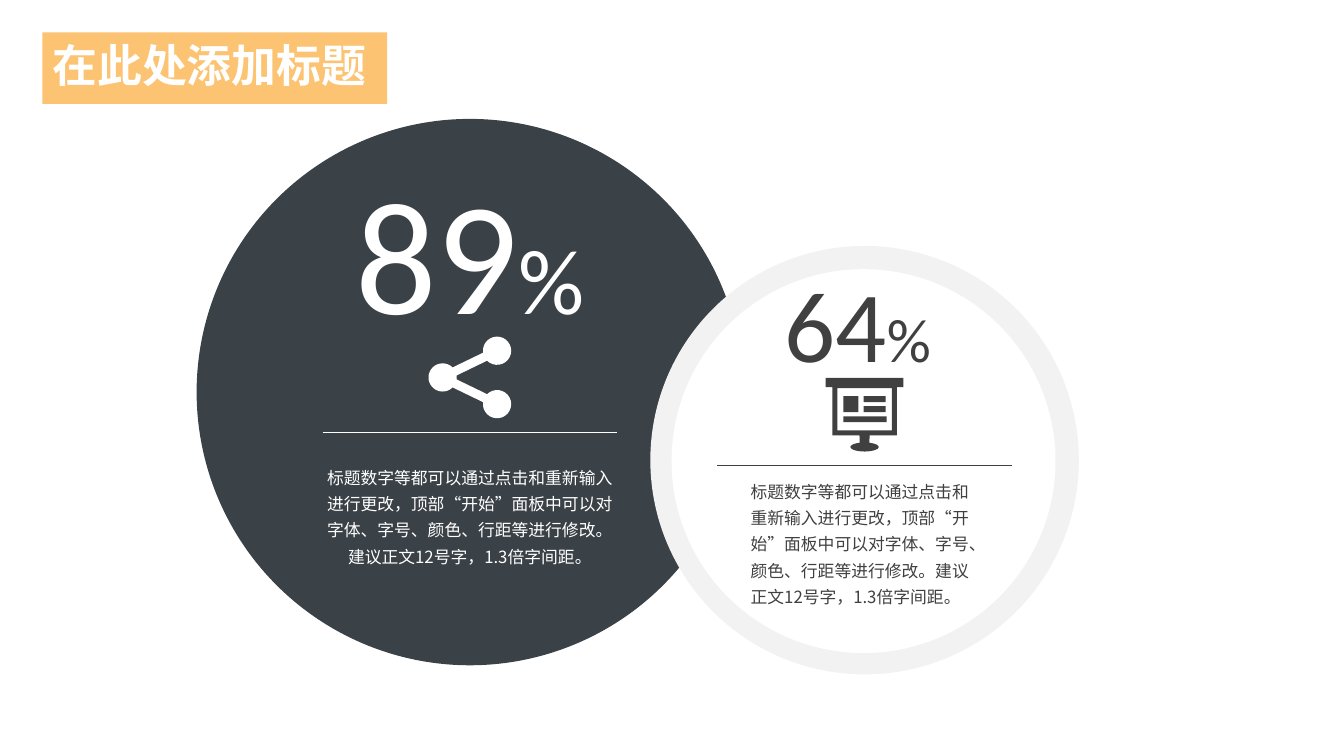
from math import cos, radians, sin

from lxml.etree import SubElement
from pptx import Presentation
from pptx.dml.color import RGBColor
from pptx.enum.shapes import MSO_CONNECTOR, MSO_SHAPE
from pptx.enum.text import MSO_ANCHOR, MSO_AUTO_SIZE, PP_ALIGN
from pptx.oxml.ns import qn
from pptx.util import Inches, Pt

COLORS = {"title": "FBC372", "slate": "3A4147", "ring": "F2F2F2",
          "white": "FFFFFF", "ink": "404040"}
HEAD_FONT, BODY_FONT = "Calibri", "Noto Sans CJK SC"
BODY = ("标题数字等都可以通过点击和重新输入进行更改，顶部“开始”面板中可以对字体、"
        "字号、颜色、行距等进行修改。建议正文12号字，1.3倍字间距。")
RULE_WIDTH = 2.92


def rgb(name):
    return RGBColor.from_string(COLORS[name])


def paint(shape, color):
    shape.shadow.inherit = False
    shape.fill.solid()
    shape.fill.fore_color.rgb = rgb(color)
    shape.line.fill.background()


def add_block(shapes, kind, left, top, width, height, color):
    paint(shapes.add_shape(kind, Inches(left), Inches(top), Inches(width), Inches(height)), color)


def add_disc(shapes, center_x, center_y, diameter, color):
    add_block(shapes, MSO_SHAPE.OVAL, center_x - diameter / 2, center_y - diameter / 2,
              diameter, diameter, color)


def add_outline(shapes, contours, color):
    # The builder rounds to whole units, so points are given in EMU
    first, *others = [[(Inches(x), Inches(y)) for x, y in contour] for contour in contours]
    builder = shapes.build_freeform(*first[0], scale=1.0)
    builder.add_line_segments(first[1:], close=True)
    for contour in others:
        builder.move_to(*contour[0])
        builder.add_line_segments(contour[1:], close=True)
    paint(builder.convert_to_shape(), color)


def arc(center_x, center_y, radius_x, radius_y, start, end, steps=24):
    """Points along an ellipse, with angles in degrees running clockwise from the right."""
    angles = [radians(start + (end - start) * i / steps) for i in range(steps + 1)]
    return [(center_x + radius_x * cos(a), center_y + radius_y * sin(a)) for a in angles]


def rectangle(left, top, right, bottom):
    return [(left, top), (right, top), (right, bottom), (left, bottom)]


def add_title(page, left, top, width, height):
    title = page.shapes.title
    title.left, title.top, title.width, title.height = map(Inches, (left, top, width, height))
    title.fill.solid()
    title.fill.fore_color.rgb = rgb("title")
    frame = title.text_frame
    frame.auto_size = MSO_AUTO_SIZE.NONE
    frame.vertical_anchor = MSO_ANCHOR.TOP
    frame.text = "在此处添加标题"
    para = frame.paragraphs[0]
    para.alignment = PP_ALIGN.LEFT
    para.line_spacing = 1.0
    para.font.name, para.font.size, para.font.bold = HEAD_FONT, Pt(32), True
    para.font.color.rgb = rgb("white")


def add_text(page, center_x, top, width, height, align):
    box = page.shapes.add_textbox(Inches(center_x - width / 2), Inches(top),
                                  Inches(width), Inches(height))
    box.text_frame.word_wrap = True
    para = box.text_frame.paragraphs[0]
    para.alignment = align
    return box.text_frame, para


def add_number(page, center_x, top, size, value, value_points, sign_points, color, align):
    para = add_text(page, center_x, top, *size, align)[1]
    para.font.name = HEAD_FONT
    para.font.color.rgb = rgb(color)
    for text, points in ((value, value_points), ("%", sign_points)):
        span = para.add_run()
        span.text = text
        span.font.size = Pt(points)


def add_rule(page, center_x, y, color):
    start, end = center_x - RULE_WIDTH / 2, center_x + RULE_WIDTH / 2
    rule = page.shapes.add_connector(MSO_CONNECTOR.STRAIGHT, Inches(start), Inches(y),
                                     Inches(end), Inches(y))
    rule.line.color.rgb = rgb(color)
    rule.line.width = Pt(0.5)
    SubElement(rule._element.spPr, qn("a:effectLst"))


def add_body(page, center_x, top, size, color, align):
    frame, para = add_text(page, center_x, top, *size, align)
    frame.margin_left = frame.margin_right = Inches(0.07)
    frame.margin_top = frame.margin_bottom = Inches(0.04)
    para.add_run().text = BODY
    para.line_spacing = 1.3
    para.font.name, para.font.size = BODY_FONT, Pt(12)
    para.font.color.rgb = rgb(color)
    defaults = para._p.pPr.find(qn("a:defRPr"))
    SubElement(defaults, qn("a:ea")).set("typeface", BODY_FONT)


def add_share_icon(page, center_x, center_y, color):
    radius, reach, rise = 0.14, 0.27, 0.265

    def node(dx, dy, start, end, steps=24):
        return arc(center_x + dx, center_y + dy, radius, radius, start, end, steps)

    outline = (node(reach, -rise, 135, -188) + node(-reach, 0, -45, -315)
               + node(reach, rise, 188, -135) + node(-reach, 0, 8, -8, 4))
    add_outline(page.shapes, [outline], color)


def add_board_icon(page, center_x, top, color):
    shapes = page.shapes.add_group_shape().shapes

    # Top bar, frame, stem and foot in one outline, with the sheet cut out
    bar, frame, stem, sheet = 0.385, 0.32, 0.05, 0.27
    right = [(center_x + stem, top + 0.57), (center_x + frame, top + 0.57),
             (center_x + frame, top + 0.09), (center_x + bar, top + 0.09), (center_x + bar, top)]
    left = [(2 * center_x - x, y) for x, y in reversed(right)]
    foot = arc(center_x, top + 0.685, 0.14, 0.045, -110, -430)
    cutout = rectangle(center_x - sheet, top + 0.1, center_x + sheet, top + 0.52)
    add_outline(shapes, [left + foot + right, cutout], color)

    # Picture and lines of writing on the sheet
    for dx, dy, width, height in ((-0.21, 0.18, 0.15, 0.16), (-0.01, 0.18, 0.22, 0.06),
                                  (-0.01, 0.28, 0.22, 0.06), (-0.21, 0.38, 0.43, 0.06)):
        add_block(shapes, MSO_SHAPE.RECTANGLE, center_x + dx, top + dy, width, height, color)


def add_large_panel(page, left, top, diameter):
    center_x = left + diameter / 2
    add_disc(page.shapes, center_x, top + diameter / 2, diameter, "slate")
    add_number(page, center_x, top + 0.29, (2.48, 2.04), "89", 115, 66, "white", PP_ALIGN.CENTER)
    add_rule(page, center_x, top + 3.11, "white")
    add_body(page, center_x, top + 3.36, (3.07, 1.13), "white", PP_ALIGN.CENTER)
    add_share_icon(page, center_x, top + 2.565, "white")


def add_small_panel(page, left, top, diameter):
    center_x, center_y = left + diameter / 2, top + diameter / 2
    discs = page.shapes.add_group_shape().shapes
    add_disc(discs, center_x, center_y, diameter, "ring")
    add_disc(discs, center_x - 0.01, center_y + 0.01, diameter * 0.896, "white")
    add_number(page, center_x, top + 0.11, (1.78, 1.31), "64", 72, 44, "ink", PP_ALIGN.LEFT)
    add_board_icon(page, center_x, top + 1.31, "ink")
    add_rule(page, center_x, top + 2.18, "ink")
    add_body(page, center_x, top + 2.24, (2.4, 1.39), "ink", PP_ALIGN.LEFT)


def main():
    deck = Presentation()
    deck.slide_width, deck.slide_height = Inches(13.33), Inches(7.5)
    page = deck.slides.add_slide(deck.slide_layouts[5])
    add_title(page, 0.42, 0.32, 3.42, 0.71)
    add_large_panel(page, 1.95, 1.18, 5.42)
    add_small_panel(page, 6.45, 2.44, 4.25)
    deck.save("out.pptx")


if __name__ == "__main__":
    main()
